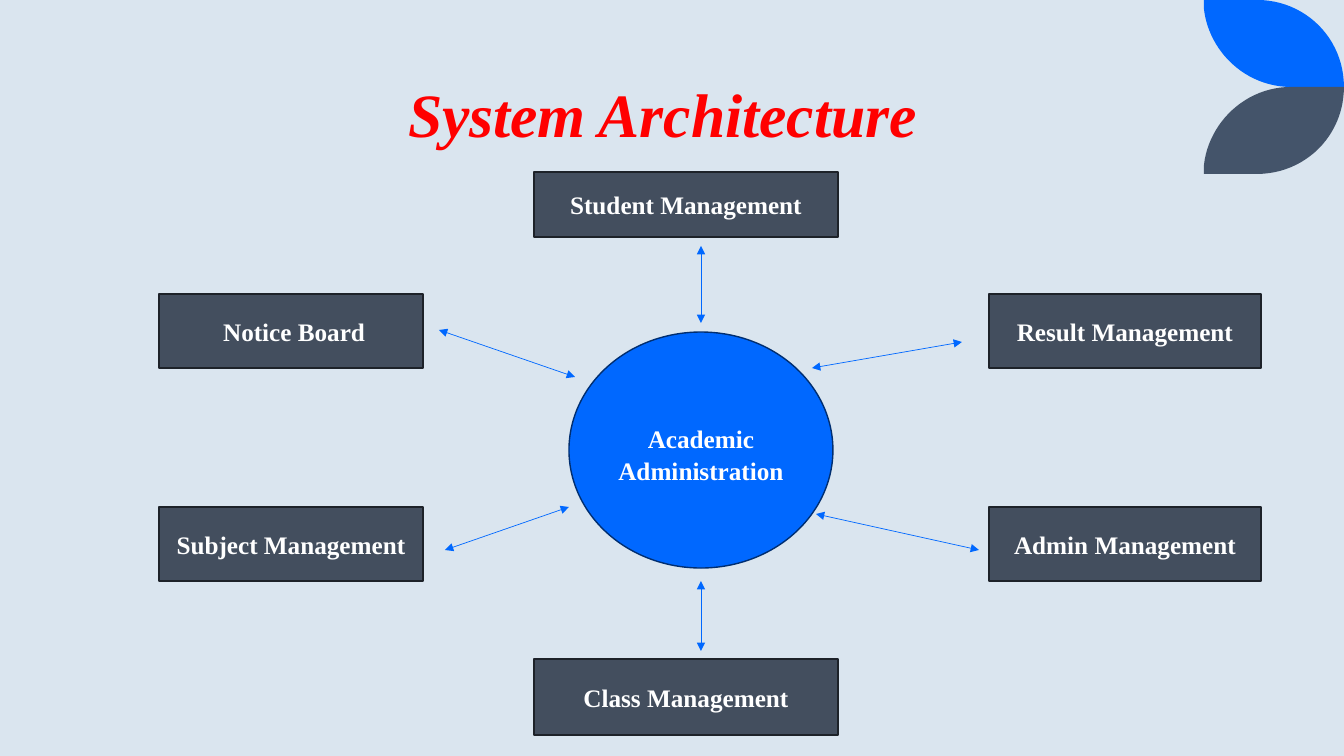
import pptx
import pptx.util
import pptx.dml.color
import pptx.enum.shapes
import pptx.enum.text
import pptx.oxml
import pptx.oxml.ns
from lxml import etree

EMU_PER_PX = 914400 / 100.8
SLIDE_WIDTH, SLIDE_HEIGHT = 1344, 756
FONT = "Times New Roman"

RGBColor = pptx.dml.color.RGBColor
BACKGROUND = RGBColor(0xDA, 0xE5, 0xEF)
BLUE = RGBColor(0x00, 0x68, 0xFF)
DARK_BLUE = RGBColor(0x00, 0x2E, 0x70)
SLATE = RGBColor(0x44, 0x54, 0x6A)
BOX_FILL = RGBColor(0x43, 0x4E, 0x5E)
BOX_EDGE = RGBColor(0x1D, 0x22, 0x29)
RED = RGBColor(0xFF, 0x00, 0x00)
WHITE = RGBColor(0xFF, 0xFF, 0xFF)

LEFT, MIDDLE, RIGHT = (159, 264), (534, 304), (989, 272)  # x and width
UPPER, LOWER = (294, 74), (507, 74)  # y and height
MODULES = [
    ("Student Management", MIDDLE, (172, 65)),
    ("Result Management", RIGHT, UPPER),
    ("Admin Management", RIGHT, LOWER),
    ("Class Management", MIDDLE, (659, 76)),
    ("Subject Management", LEFT, LOWER),
    (" Notice Board", LEFT, UPPER),
]
ARROWS = [
    (701, 246, 701, 323),
    (812, 368, 962, 342),
    (816, 514, 979, 550),
    (701, 581, 701, 651),
    (439, 330, 575, 377),
    (445, 550, 569, 507),
]


def px(length):
    return pptx.util.Emu(round(length * EMU_PER_PX))


def write_text(shape, text, size=18, color=WHITE, italic=False, spacing=1.0,
               anchor=pptx.enum.text.MSO_ANCHOR.MIDDLE, side_inset=10, top_inset=5):
    frame = shape.text_frame
    frame.word_wrap = True
    frame.vertical_anchor = anchor
    frame.margin_left = frame.margin_right = px(side_inset)
    frame.margin_top, frame.margin_bottom = px(top_inset), px(5)
    paragraph = frame.paragraphs[0]
    paragraph.alignment = pptx.enum.text.PP_ALIGN.CENTER
    paragraph.line_spacing = spacing
    run = paragraph.add_run()
    run.text = text
    run.font.name = FONT
    run.font.size = pptx.util.Pt(size)
    run.font.bold = True
    run.font.italic = italic
    run.font.color.rgb = color


def add_node(slide, kind, x, y, width, height, fill, edge):
    node = slide.shapes.add_shape(kind, px(x), px(y), px(width), px(height))
    node.shadow.inherit = False
    node.fill.solid()
    node.fill.fore_color.rgb = fill
    node.line.color.rgb = edge
    node.line.width = pptx.util.Pt(1)
    return node


def curve(start, control_1, control_2, end, steps=24):
    """Points along a cubic Bezier curve, without its start."""
    points = []
    for step in range(1, steps + 1):
        t = step / steps
        weights = ((1 - t) ** 3, 3 * t * (1 - t) ** 2, 3 * t * t * (1 - t), t ** 3)
        corners = (start, control_1, control_2, end)
        points.append(tuple(sum(w * c[axis] for w, c in zip(weights, corners))
                            for axis in (0, 1)))
    return points


def add_leaf(slide, color, mirrored=False):
    """Corner leaf; the mirrored one hangs below the first."""
    outline = [(1204, 0), (1257, 0)]
    outline += curve((1257, 0), (1305, 0), (1344, 38), (1344, 87))
    outline += [(1291, 87)]
    outline += curve((1291, 87), (1246, 87), (1209, 52), (1204, 9))
    points = [(px(x), px(174 - y if mirrored else y)) for x, y in outline]
    builder = slide.shapes.build_freeform(*points[0], scale=1.0)
    builder.add_line_segments(points[1:], close=True)
    leaf = builder.convert_to_shape()
    leaf.shadow.inherit = False
    leaf.fill.solid()
    leaf.fill.fore_color.rgb = color
    leaf.line.fill.background()


def add_double_arrow(slide, x1, y1, x2, y2):
    arrow = slide.shapes.add_connector(
        pptx.enum.shapes.MSO_CONNECTOR.STRAIGHT, px(x1), px(y1), px(x2), px(y2))
    arrow.line.color.rgb = BLUE
    arrow.line.width = pptx.util.Pt(0.5)
    outline = arrow.line._get_or_add_ln()
    for end in ("a:headEnd", "a:tailEnd"):
        etree.SubElement(outline, pptx.oxml.ns.qn(end), type="triangle")
    etree.SubElement(arrow._element.spPr, pptx.oxml.ns.qn("a:effectLst"))


def main():
    deck = pptx.Presentation()
    deck.slide_width, deck.slide_height = px(SLIDE_WIDTH), px(SLIDE_HEIGHT)
    slide = deck.slides.add_slide(deck.slide_layouts[6])
    slide.background.fill.solid()
    slide.background.fill.fore_color.rgb = BACKGROUND

    add_leaf(slide, BLUE)
    add_leaf(slide, SLATE, mirrored=True)

    title = slide.shapes.add_textbox(px(129), px(12), px(1068), px(142))
    write_text(title, "System Architecture", size=44, color=RED, italic=True,
               spacing=0.8, anchor=pptx.enum.text.MSO_ANCHOR.BOTTOM)

    kinds = pptx.enum.shapes.MSO_SHAPE
    for label, (x, width), (y, height) in MODULES:
        box = add_node(slide, kinds.RECTANGLE, x, y, width, height, BOX_FILL, BOX_EDGE)
        write_text(box, label)

    hub = add_node(slide, kinds.OVAL, 569, 332, 264, 236, BLUE, DARK_BLUE)
    write_text(hub, "Academic Administration", spacing=1.07, side_inset=5, top_inset=12)

    for ends in ARROWS:
        add_double_arrow(slide, *ends)

    deck.save("out.pptx")


if __name__ == "__main__":
    main()
